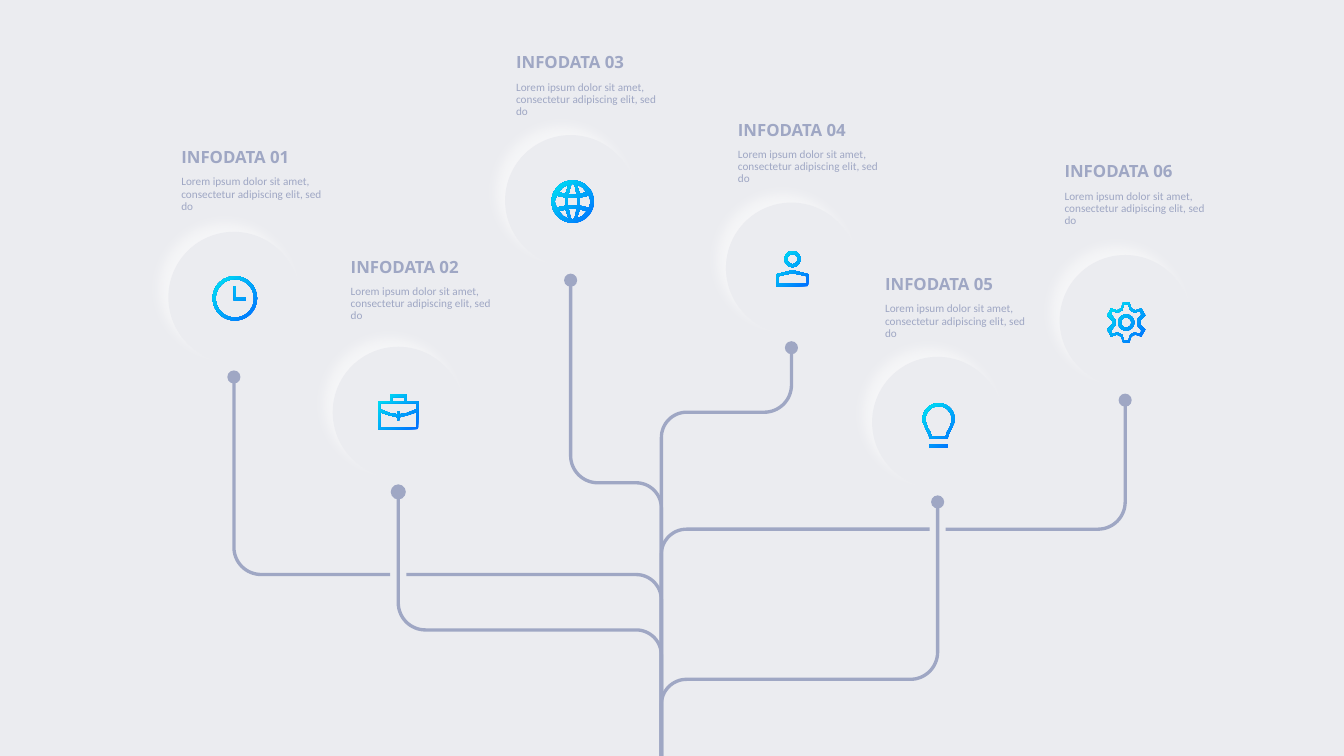
import math

import pptx
import pptx.dml.color
import pptx.enum.shapes
import pptx.oxml
import pptx.oxml.ns
import pptx.util

Inches, Pt = pptx.util.Inches, pptx.util.Pt
OVAL = pptx.enum.shapes.MSO_SHAPE.OVAL
COLORS = {"back": "EBECF0", "ink": "9FA7C4", "glow": "FFFFFF", "deep": "006EFF", "bright": "00E6F2"}
BODY = "Lorem ipsum dolor sit amet, consectetur adipiscing elit, sed do"
TRUNK_X, BOTTOM = 6.56, 7.51
DISC, DOT_DROP = 1.3, 1.44
OUTER_R, TRUNK_R, GAP = 0.27, 0.25, 0.08


def rgb(name):
    return pptx.dml.color.RGBColor.from_string(COLORS[name])


def arc(cx, cy, r, start, end, steps=16):
    """Points along an arc, in degrees clockwise from the right."""
    angles = [math.radians(start + (end - start) * i / steps) for i in range(steps + 1)]
    return [(cx + r * math.cos(a), cy + r * math.sin(a)) for a in angles]


def ring(r, hole, cy=0):
    return [arc(0, cy, r, 0, 360, 48), arc(0, cy, hole, 0, 360, 48)]


def flip_x(points):
    return [(-x, y) for x, y in points]


def flip_y(points):
    return [(x, -y) for x, y in points]


def mirror(half):
    """Close a right half with its left reflection."""
    return half + flip_x(half[::-1])


def four_way(quarter):
    return mirror(quarter + flip_y(quarter[::-1]))


def clock():
    hands = [(-0.01, -0.12), (0.01, -0.12), (0.01, -0.01), (0.11, -0.01), (0.11, 0.02), (-0.01, 0.02)]
    return ring(0.22, 0.19) + [hands]


def briefcase():
    case = [(0, -0.18), (0.08, -0.18), (0.08, -0.11), (0.2, -0.11), (0.2, 0.17), (0, 0.17)]
    handle = [(0, -0.15), (0.06, -0.15), (0.06, -0.11), (0, -0.11)]
    flap = [(0, -0.09), (0.18, -0.09), (0.18, -0.03), (0.08, 0.01), (0.01, 0.02), (0.01, -0.01), (0, -0.01)]
    front = [(0, 0.08), (0.01, 0.08), (0.01, 0.05), (0.09, 0.03), (0.18, 0), (0.18, 0.15), (0, 0.15)]
    return [mirror(half) for half in (case, handle, flap, front)]


def globe():
    cap = mirror([(0, -0.18), (0.02, -0.16), (0.04, -0.07), (0, -0.07)])
    middle = four_way([(0, -0.04), (0.05, -0.04)])
    corner = [(0.14, -0.09), (0.07, -0.08), (0.04, -0.17), (0.1, -0.14)]
    side = [(0.18, 0), (0.16, 0.06), (0.07, 0.04), (0.07, -0.04), (0.16, -0.06)]
    corners = [corner, flip_x(corner), flip_y(corner), flip_x(flip_y(corner))]
    return [arc(0, 0, 0.21, 0, 360, 48), cap, flip_y(cap), middle, side, flip_x(side)] + corners


def person():
    body = [(0, 0.02), (0.16, 0.06), (0.16, 0.18), (0, 0.18)]
    inside = [(0, 0.05), (0.14, 0.08), (0.14, 0.15), (0, 0.15)]
    return ring(0.08, 0.05, cy=-0.09) + [mirror(body), mirror(inside)]


def bulb():
    glass = arc(0, -0.06, 0.16, -90, 10) + [(0.13, 0.03), (0.1, 0.09), (0.09, 0.13), (0, 0.13)]
    inside = arc(0, -0.06, 0.13, -90, 10) + [(0.11, 0.02), (0.08, 0.07), (0.07, 0.11), (0, 0.11)]
    base = [(0, 0.19), (0.09, 0.19), (0.09, 0.22), (0, 0.22)]
    return [mirror(half) for half in (glass, inside, base)]


def gear():
    teeth = [(0, -0.2), (0.03, -0.2), (0.05, -0.14), (0.09, -0.12), (0.15, -0.14), (0.19, -0.07), (0.14, -0.02)]
    inside = [(0, -0.18), (0.02, -0.18), (0.04, -0.12), (0.08, -0.1), (0.14, -0.11), (0.15, -0.08), (0.11, -0.03)]
    return [four_way(teeth), four_way(inside)] + ring(0.08, 0.05)


# disc left and top, text left and top, height of the rail, crossed dot line, icon and its centre
NODES = [
    (1.67, 2.3, 1.7, 1.43, 5.7, 3.95, clock, (2.33, 2.96)),
    (3.3, 3.44, 3.38, 2.52, 6.25, None, briefcase, (3.95, 4.09)),
    (5.01, 1.34, 5.02, 0.49, 4.79, None, globe, (5.68, 2)),
    (7.2, 2.01, 7.22, 1.16, 4.09, None, person, (7.86, 2.66)),
    (8.65, 3.54, 8.68, 2.69, 6.74, None, bulb, (9.31, 4.22)),
    (10.51, 2.53, 10.46, 1.57, 5.25, 9.3, gear, (11.17, 3.2)),
]


def add_outline(slide, contours, closed):
    contours = [[(Inches(x), Inches(y)) for x, y in c] for c in contours]
    builder = slide.shapes.build_freeform(*contours[0][0], scale=1.0)
    for i, contour in enumerate(contours):
        if i:
            builder.move_to(*contour[0])
        builder.add_line_segments(contour[1:], close=closed)
    sp = builder.convert_to_shape()
    sp.shadow.inherit = False
    return sp


def add_disc(slide, cx, cy, size, color):
    box = [Inches(v) for v in (cx - size / 2, cy - size / 2, size, size)]
    sp = slide.shapes.add_shape(OVAL, *box)
    sp.shadow.inherit = False
    sp.fill.solid()
    sp.fill.fore_color.rgb = rgb(color)
    sp.line.fill.background()
    return sp


def add_branch(slide, x, top, rail, crossing):
    """Dot, stem, rail and trunk, with a break where the rail crosses another stem."""
    add_disc(slide, x, top, 0.15 if x == 3.95 else 0.13, "ink")
    side = math.copysign(1, x - TRUNK_X)
    outer_x, trunk_x = x - side * OUTER_R, TRUNK_X + side * TRUNK_R
    outward = 0 if side > 0 else 180
    stem = [(x, top)] + arc(outer_x, rail - OUTER_R, OUTER_R, outward, 90)
    trunk = arc(trunk_x, rail + TRUNK_R, TRUNK_R, 270, 180 if side > 0 else 360) + [(TRUNK_X, BOTTOM)]
    if crossing:
        parts = [stem + [(crossing + side * GAP, rail)], [(crossing - side * GAP, rail)] + trunk]
    else:
        parts = [stem + trunk]
    for part in parts:
        sp = add_outline(slide, [part], closed=False)
        sp.fill.background()
        sp.line.color.rgb = rgb("ink")
        sp.line.width = Pt(2.38)


def add_text(slide, left, top, height, text, font, size, bold):
    tf = slide.shapes.add_textbox(Inches(left), Inches(top), Inches(1.59), Inches(height)).text_frame
    tf.word_wrap = True
    p = tf.paragraphs[0]
    p.text = text
    p.line_spacing = 0.9
    p.font.name, p.font.size, p.font.bold = font, Pt(size), bold
    p.font.color.rgb = rgb("ink")


def add_caption(slide, left, top, heading):
    add_text(slide, left, top + 0.27, 0.58, BODY, "Calibri", 8, False)
    add_text(slide, left, top, 0.3, heading, "Open Sans", 12, True)


def add_glowing_disc(slide, cx, cy):
    sp = add_disc(slide, cx, cy, DISC, "back")
    effects = sp._element.spPr.find(pptx.oxml.ns.qn("a:effectLst"))
    effects.append(pptx.oxml.parse_xml(
        f'<a:outerShdw {pptx.oxml.ns.nsdecls("a")} blurRad="{Pt(9)}" dist="{Pt(9)}" dir="13500000" '
        f'algn="ctr" rotWithShape="0"><a:srgbClr val="{COLORS["glow"]}"><a:alpha val="56000"/>'
        '</a:srgbClr></a:outerShdw>'))


def add_icon(slide, cx, cy, contours):
    sp = add_outline(slide, [[(cx + x, cy + y) for x, y in c] for c in contours], closed=True)
    sp.line.fill.background()
    sp.fill.gradient()
    sp.fill.gradient_angle = 135
    for stop, position, color in zip(sp.fill.gradient_stops, (0, 1), ("deep", "bright")):
        stop.position = position
        stop.color.rgb = rgb(color)


def main():
    prs = pptx.Presentation()
    prs.slide_width, prs.slide_height = Inches(13.33), Inches(7.5)
    slide = prs.slides.add_slide(prs.slide_layouts[6])
    slide.background.fill.solid()
    slide.background.fill.fore_color.rgb = rgb("back")
    for left, top, _, _, rail, crossing, _, _ in NODES:
        add_branch(slide, round(left + DISC / 2, 2), top + DOT_DROP, rail, crossing)
    for number, (left, top, text_left, text_top, _, _, icon, centre) in enumerate(NODES, 1):
        add_caption(slide, text_left, text_top, f"INFODATA {number:02}")
        add_glowing_disc(slide, left + DISC / 2, top + DISC / 2)
        add_icon(slide, *centre, icon())
    prs.save("out.pptx")


if __name__ == "__main__":
    main()
